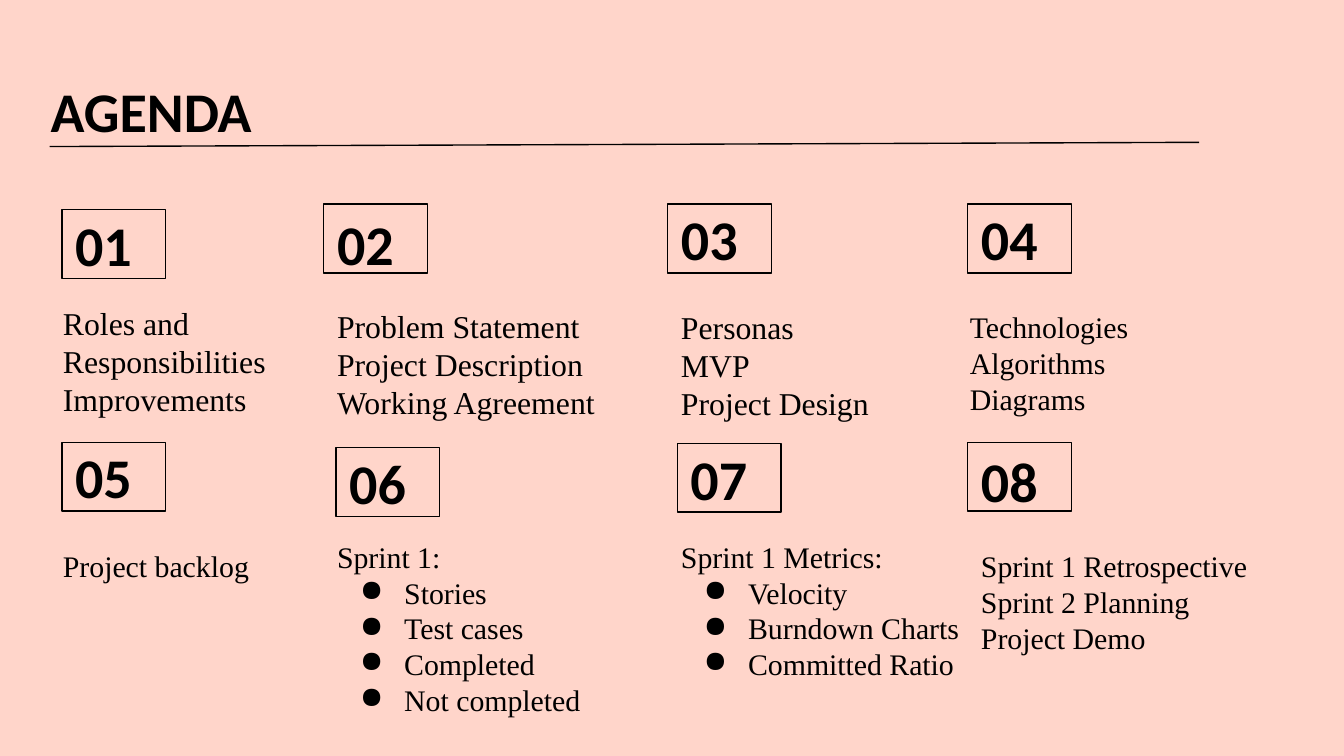
from lxml import etree
from pptx import Presentation
from pptx.dml.color import RGBColor
from pptx.enum.shapes import MSO_CONNECTOR, MSO_SHAPE
from pptx.enum.text import MSO_ANCHOR, PP_ALIGN
from pptx.oxml.ns import qn
from pptx.util import Cm, Pt

PROCESS = MSO_SHAPE.FLOWCHART_PROCESS
STRAIGHT = MSO_CONNECTOR.STRAIGHT
TOP, MIDDLE, BOTTOM = MSO_ANCHOR.TOP, MSO_ANCHOR.MIDDLE, MSO_ANCHOR.BOTTOM
LEFT = PP_ALIGN.LEFT

INK = "000000"
BACKGROUND = "FFD5CA"
HEADING_FONT = "Calibri"
BODY_FONT = "Times New Roman"
HEADING_SIZE = 30
INSET = Cm(0.25)
NUMBER_WIDTH, NUMBER_HEIGHT = 1.96, 1.3

NUMBERS = [
    ("01", 1.17, 3.96),
    ("03", 12.62, 3.86),
    ("04", 18.29, 3.86),
    ("05", 1.17, 8.36),
    ("06", 6.35, 8.46),
    ("07", 12.8, 8.38),
]

OFFSET_NUMBERS = [
    ("02", 6.12, 3.86, 3.96, 1.52, BOTTOM),
    ("08", 18.29, 8.36, 8.2, 1.8, TOP),
]

TOPICS = [
    (0.94, 5.49, 4.45, 2.9, 17, ["Roles and Responsibilities", "Improvements"], []),
    (6.12, 5.54, 5.92, 2.64, 17,
     ["Problem Statement", "Project Description", "Working Agreement"], []),
    (12.62, 5.56, 5.11, 2.67, 17, ["Personas", "MVP", "Project Design"], []),
    (18.08, 5.59, 7.14, 2.67, 16, ["Technologies", "Algorithms", "Diagrams"], []),
    (0.94, 10.11, 6.45, 3.56, 16, ["Project backlog"], []),
    (6.12, 9.93, 6.1, 3.28, 16, ["Sprint 1:"],
     ["Stories", "Test cases", "Completed", "Not completed"]),
    (12.62, 9.93, 5.77, 4.62, 16, ["Sprint 1 Metrics:"],
     ["Velocity", "Burndown Charts", "Committed Ratio"]),
    (18.29, 10.11, 6.76, 2.57, 16,
     ["Sprint 1 Retrospective", "Sprint 2 Planning", "Project Demo"], []),
]


def color(hex_value):
    return RGBColor.from_string(hex_value)


def prepare_frame(frame, anchor):
    frame.word_wrap = True
    frame.vertical_anchor = anchor
    frame.margin_left = frame.margin_right = INSET
    frame.margin_top = frame.margin_bottom = INSET


def add_bullet(paragraph):
    properties = paragraph._p.get_or_add_pPr()
    properties.set("marL", str(Cm(1.27)))
    properties.set("indent", str(-Cm(0.84)))
    bullet_color = etree.SubElement(properties, qn("a:buClr"))
    etree.SubElement(bullet_color, qn("a:srgbClr"), val=INK)
    etree.SubElement(properties, qn("a:buChar"), char="●")


def add_run(paragraph, text, font_name, size, bold=False):
    paragraph.alignment = LEFT
    run = paragraph.add_run()
    run.text = text
    run.font.name = font_name
    run.font.size = Pt(size)
    run.font.bold = bold
    run.font.color.rgb = color(INK)


def add_heading(slide, text, left, top, width, height, anchor=TOP):
    heading = slide.shapes.add_textbox(Cm(left), Cm(top), Cm(width), Cm(height))
    prepare_frame(heading.text_frame, anchor)
    add_run(heading.text_frame.paragraphs[0], text, HEADING_FONT, HEADING_SIZE, True)


def add_number_box(slide, left, top, number=None):
    box = slide.shapes.add_shape(
        PROCESS, Cm(left), Cm(top), Cm(NUMBER_WIDTH), Cm(NUMBER_HEIGHT))
    box.shadow.inherit = False
    box.fill.background()
    box.line.color.rgb = color(INK)
    box.line.width = Pt(0.75)
    if number:
        prepare_frame(box.text_frame, MIDDLE)
        add_run(box.text_frame.paragraphs[0], number, HEADING_FONT, HEADING_SIZE, True)


def add_topic(slide, left, top, width, height, size, lines, bullets):
    topic = slide.shapes.add_textbox(Cm(left), Cm(top), Cm(width), Cm(height))
    frame = topic.text_frame
    prepare_frame(frame, TOP)
    for index, text in enumerate(lines + bullets):
        paragraph = frame.add_paragraph() if index else frame.paragraphs[0]
        if index >= len(lines):
            add_bullet(paragraph)
        add_run(paragraph, text, BODY_FONT, size)


def add_title_rule(slide):
    rule = slide.shapes.add_connector(
        STRAIGHT, Cm(0.94), Cm(2.77), Cm(22.66), Cm(2.69))
    rule.line.color.rgb = color(INK)
    rule.line.width = Pt(0.75)
    etree.SubElement(rule._element.spPr, qn("a:effectLst"))


def main():
    deck = Presentation()
    deck.slide_width, deck.slide_height = Cm(25.4), Cm(14.29)
    slide = deck.slides.add_slide(deck.slide_layouts[6])
    slide.background.fill.solid()
    slide.background.fill.fore_color.rgb = color(BACKGROUND)

    add_heading(slide, "AGENDA", 0.71, 1.19, 21.41, 1.6)
    add_title_rule(slide)
    for number, left, top in NUMBERS:
        add_number_box(slide, left, top, number)
    for number, left, box_top, text_top, text_height, anchor in OFFSET_NUMBERS:
        add_number_box(slide, left, box_top)
        add_heading(slide, number, left, text_top, 2.2, text_height, anchor)
    for topic in TOPICS:
        add_topic(slide, *topic)

    deck.save("out.pptx")


if __name__ == "__main__":
    main()
